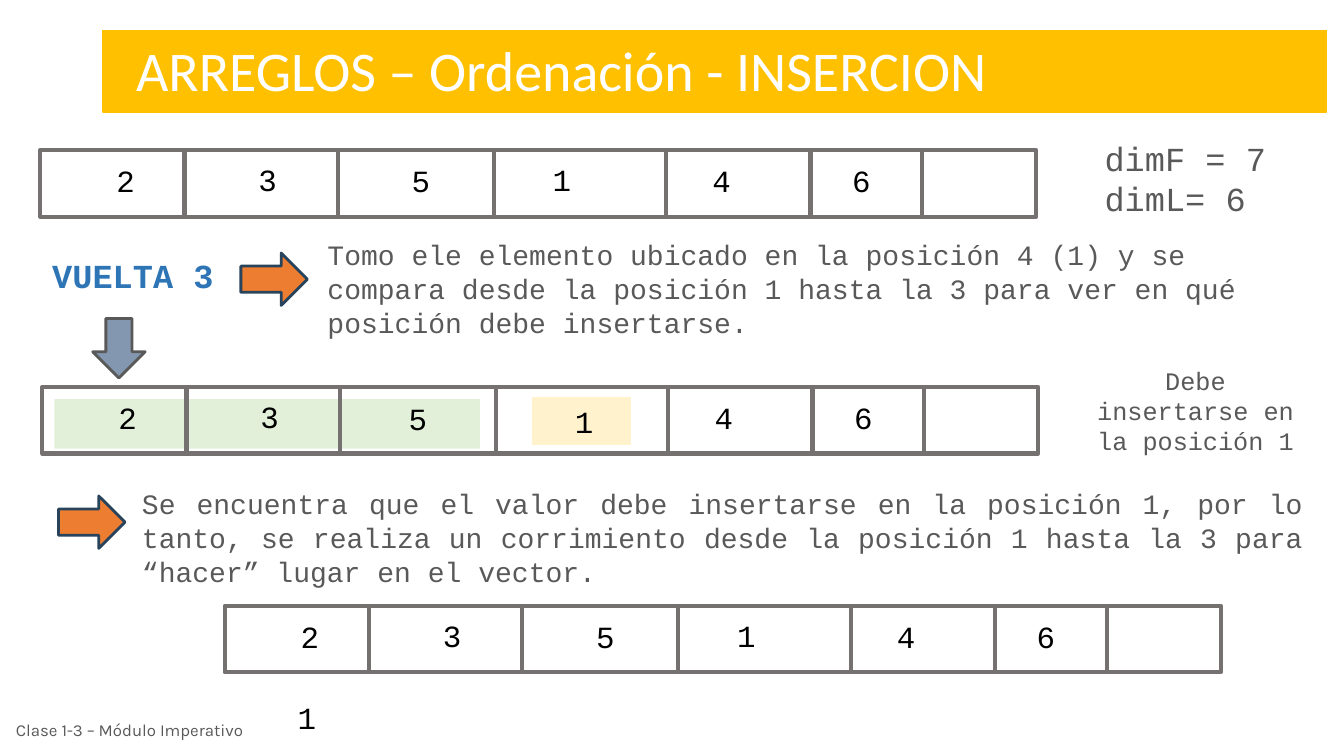
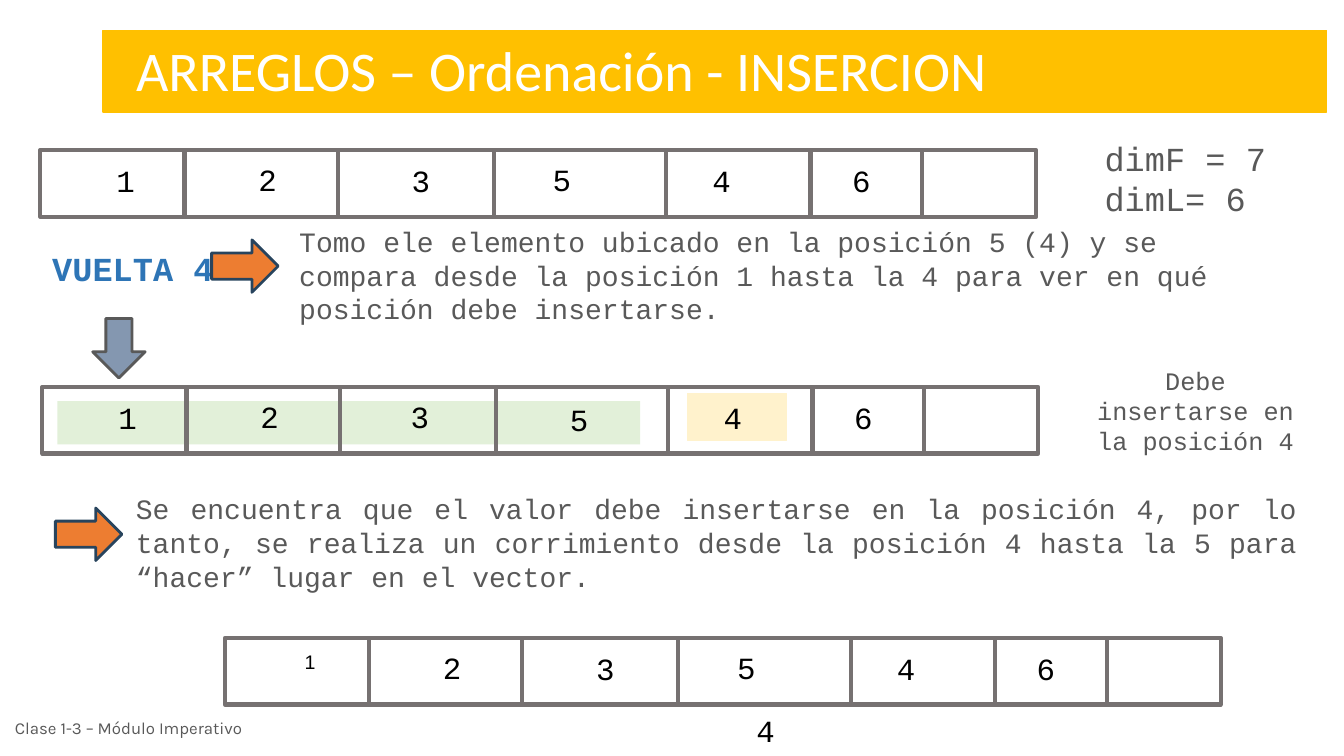
from dataclasses import dataclass, field

from lxml import etree
from pptx import Presentation
from pptx import util as u
from pptx.dml.color import RGBColor
from pptx.enum import shapes, text

# Grid: square cells of a tenth of an inch, 133.33 columns by 75 rows
CELL = u.Inches(0.1)
COLS, ROWS = 133.33, 75

INK = {
    "band": "FFC000", "white": "FFFFFF", "black": "000000", "gray": "595959",
    "frame": "767171", "blue": "2E75B6", "done": "E2F0D9", "pick": "FFF2CC",
    "orange": "ED7D31", "navy": "28445D", "steel": "8497B0",
}
MONO = "Courier New"
LEFT, MID, JUST = (text.PP_ALIGN.LEFT, text.PP_ALIGN.CENTER,
                   text.PP_ALIGN.JUSTIFY)
BOX, RIGHT, DOWN = (shapes.MSO_SHAPE.RECTANGLE, shapes.MSO_SHAPE.RIGHT_ARROW,
                    shapes.MSO_SHAPE.DOWN_ARROW)

# Array geometry, in cells from the array's left edge
WIDE, HIGH = 98.8, 6.6
CUTS = (14.3, 29.5, 45, 62.1, 76.4, 87.5)
SLOTS = ((2.7, 11.5), (16.8, 11.5), (31.9, 11.7),
         (45.8, 11.9), (63.8, 7.6), (77.3, 8.3))


@dataclass(frozen=True)
class Area:
    x: float
    y: float
    w: float
    h: float

    def emu(self) -> tuple[int, ...]:
        return tuple(int(v * CELL) for v in (self.x, self.y, self.w, self.h))


@dataclass(frozen=True)
class Style:
    size: float
    ink: str = "gray"
    font: str = MONO
    bold: bool = False
    align: int = LEFT


NUM = Style(22, "black", align=MID)
TINY = Style(14, "black", "Arial", align=MID)


@dataclass(frozen=True)
class Row:
    x: float
    y: float
    nums: str
    shift: dict = field(default_factory=dict)
    tiny: tuple = ()


@dataclass(frozen=True)
class Step:
    turn: str
    turn_y: float
    task: str
    task_at: Area
    task_tip: Area
    find: str
    find_at: Area
    find_tip: Area
    goal: str
    done: Area
    pick: Area
    rows: tuple
    loose: str
    loose_at: Area
    foot_at: Area


# Text and shapes
def write(frame, lines: list[str], style: Style) -> None:
    frame.word_wrap = True
    frame.auto_size = text.MSO_AUTO_SIZE.NONE
    for i, line in enumerate(lines):
        para = frame.add_paragraph() if i else frame.paragraphs[0]
        para.alignment = style.align
        run = para.add_run()
        run.text = line
        run.font.size = u.Pt(style.size)
        run.font.name = style.font
        run.font.bold = style.bold
        run.font.color.rgb = RGBColor.from_string(INK[style.ink])


def label(slide, area: Area, words: str, style: Style, mid: bool = False):
    frame = slide.shapes.add_textbox(*area.emu()).text_frame
    write(frame, words.split("\n"), style)
    frame.vertical_anchor = (text.MSO_ANCHOR.MIDDLE if mid
                             else text.MSO_ANCHOR.TOP)


def paint(item, fill: str = "", line: str = "", pt: float = 1) -> None:
    if fill:
        item.fill.solid()
        item.fill.fore_color.rgb = RGBColor.from_string(INK[fill])
    else:
        item.fill.background()
    if line:
        item.line.color.rgb = RGBColor.from_string(INK[line])
        item.line.width = u.Pt(pt)
    else:
        item.line.fill.background()


def shape(slide, kind, area: Area, fill: str = "", line: str = "",
          pt: float = 1) -> None:
    item = slide.shapes.add_shape(kind, *area.emu())
    item.shadow.inherit = False
    paint(item, fill, line, pt)


def rule(slide, x: float, top: float, end: float) -> None:
    line = slide.shapes.add_connector(
        shapes.MSO_CONNECTOR.STRAIGHT,
        *(int(v * CELL) for v in (x, top, x, end)))
    line.line.color.rgb = RGBColor.from_string(INK["frame"])
    line.line.width = u.Pt(3)
    props = line._element.spPr
    etree.SubElement(props, props.nsmap["a"].join("{}") + "effectLst")


def array(slide, row: Row) -> None:
    shape(slide, BOX, Area(row.x, row.y, WIDE, HIGH), "", "frame", 3)
    for cut in CUTS:
        rule(slide, row.x + cut, row.y, row.y + HIGH)
    for i, (num, (x, w)) in enumerate(zip(row.nums, SLOTS)):
        dx, dy = row.shift.get(i, (0, 0))
        rise = 0.6 if i in (1, 3) else 0.7
        label(slide, Area(row.x + x + dx, row.y + rise + dy, w, 4.7), num,
              TINY if i in row.tiny else NUM)


# Parts shared by every slide
def title(slide) -> None:
    head = slide.shapes.title
    head.left, head.top, head.width, head.height = Area(
        10.2, 3, 121.4, 8.1).emu()
    paint(head, "band", "band")
    frame = head.text_frame
    write(frame, ["ARREGLOS – Ordenación - INSERCION"],
          Style(40, "white", "Calibri"))
    frame.vertical_anchor = text.MSO_ANCHOR.TOP
    frame.margin_left = int(3.3 * CELL)
    frame.margin_top = int(0.5 * CELL)


def draw(slide, step: Step) -> None:
    title(slide)
    label(slide, Area(108.6, 13.2, 23, 9.1), "dimF = 7\ndimL= 6", Style(24))

    # Marks lie behind the arrays
    shape(slide, BOX, step.pick, "pick", "pick", 0.75)
    shape(slide, BOX, step.done, "done")
    for row in step.rows:
        array(slide, row)
    label(slide, step.loose_at, step.loose, NUM)

    # Explanations and arrows
    label(slide, Area(4.2, step.turn_y, 23, 5), step.turn,
          Style(24, "blue", bold=True))
    for tip in (step.task_tip, step.find_tip):
        shape(slide, RIGHT, tip, "orange", "navy", 2)
    shape(slide, DOWN, Area(9.2, 31.6, 5.2, 5.9), "steel", "gray", 2)
    label(slide, step.task_at, step.task, Style(20))
    label(slide, step.find_at, step.find, Style(20, align=JUST))
    label(slide, Area(107.1, 35.7, 23, 10.1), step.goal,
          Style(18, align=MID))
    label(slide, step.foot_at, "Clase 1-3 – Módulo Imperativo",
          Style(12, font="Karla"), mid=True)


# Wording that varies only by numbers
def task(pos: int, num: int) -> str:
    return (f"Tomo ele elemento ubicado en la posición {pos} ({num}) y se "
            f"compara desde la posición 1 hasta la {pos - 1} para ver en qué "
            "posición debe insertarse.")


def find(pos: int, last: int) -> str:
    return (f"Se encuentra que el valor debe insertarse en la posición {pos}, "
            "por lo tanto, se realiza un corrimiento desde la posición "
            f"{pos} hasta la {last} para “hacer” lugar en el vector.")


STEPS = (
    Step(
        turn="VUELTA 3", turn_y=24.8,
        task=task(4, 1), task_at=Area(31.5, 23.1, 100.2, 11.1),
        task_tip=Area(23.9, 25.1, 6.6, 5.2),
        find=find(1, 3), find_at=Area(13.1, 47.8, 117.2, 11.1),
        find_tip=Area(5.8, 49.2, 6.6, 5.2),
        goal="Debe insertarse en la posición 1",
        done=Area(5.4, 39.6, 42.2, 4.9), pick=Area(52.8, 39.4, 9.8, 4.7),
        rows=(Row(4, 14.9, "235146"),
              Row(4.2, 38.4, "235146", {2: (-0.5, 0.1), 3: (2, 0.5)}),
              Row(22.3, 60.1, "235146")),
        loose="1", loose_at=Area(24.6, 68.8, 11.7, 4.7),
        foot_at=Area(0.6, 70, 31.6, 4.8)),
    Step(
        turn="VUELTA 4", turn_y=24.1,
        task=task(5, 4), task_at=Area(28.7, 21.8, 100.2, 11.1),
        task_tip=Area(21, 23.8, 6.6, 5.2),
        find=find(4, 5), find_at=Area(12.5, 48.3, 117.2, 11.1),
        find_tip=Area(5.5, 50.4, 6.6, 5.2),
        goal="Debe insertarse en la posición 4",
        done=Area(5.7, 39.8, 57.8, 4.3), pick=Area(68.2, 39, 9.8, 4.7),
        rows=(Row(4, 14.9, "123546"),
              Row(4.2, 38.4, "123546",
                  {2: (-0.3, -0.1), 3: (1.5, 0.3), 4: (0.9, 0)}),
              Row(22.3, 63.3, "123546", tiny=(0,))),
        loose="4", loose_at=Area(70.1, 70.1, 11.7, 4.7),
        foot_at=Area(0.5, 69.8, 31.6, 4.8)),
)


def main() -> None:
    deck = Presentation()
    deck.slide_width, deck.slide_height = int(COLS * CELL), int(ROWS * CELL)
    for step in STEPS:
        draw(deck.slides.add_slide(deck.slide_layouts[5]), step)
    deck.save("out.pptx")


if __name__ == "__main__":
    main()
